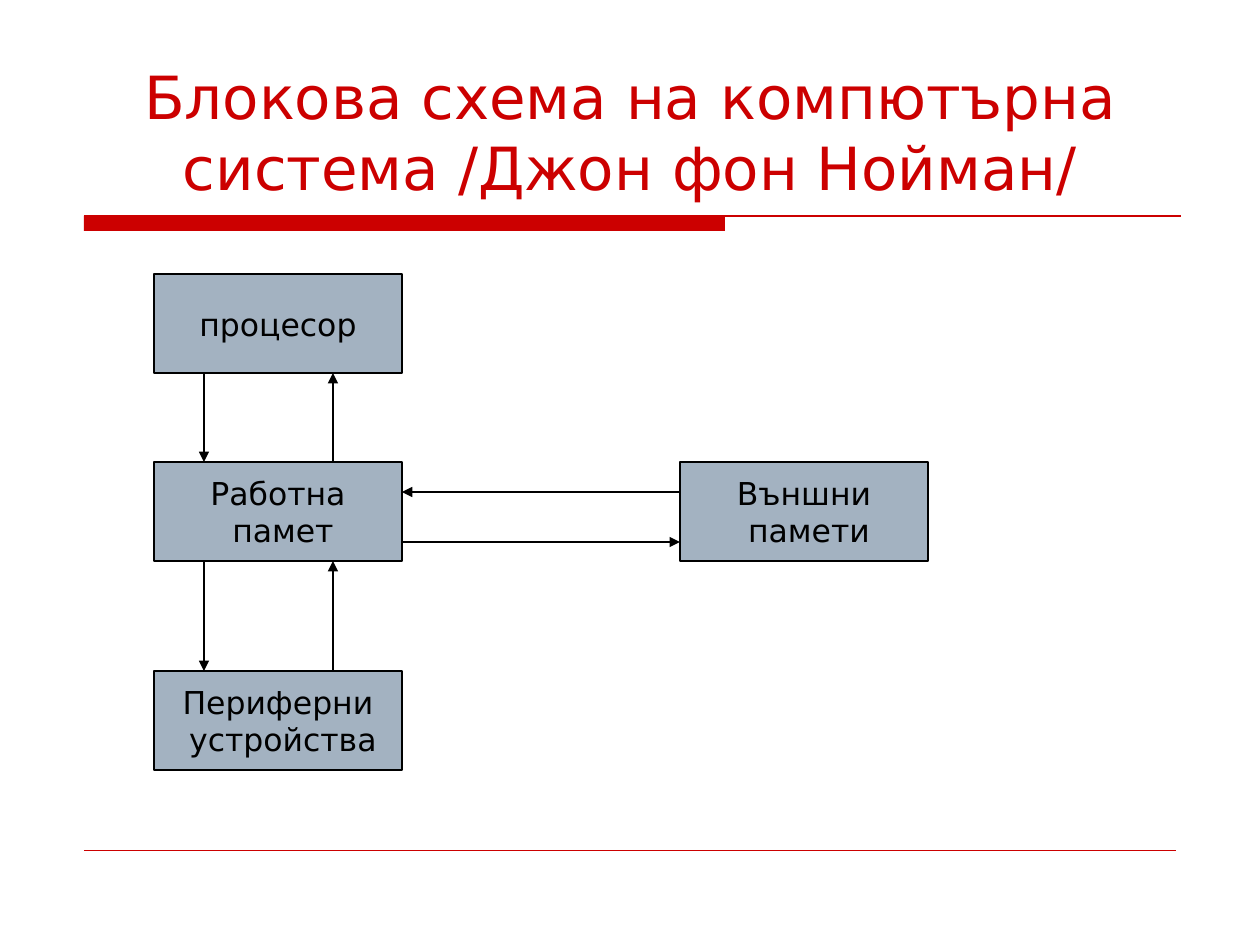
from lxml import etree
from pptx import Presentation
from pptx.dml.color import RGBColor
from pptx.enum.shapes import MSO_CONNECTOR, MSO_SHAPE
from pptx.enum.text import MSO_ANCHOR, MSO_AUTO_SIZE, PP_ALIGN
from pptx.oxml.ns import qn
from pptx.util import Emu, Pt

STRAIGHT = MSO_CONNECTOR.STRAIGHT
RECTANGLE = MSO_SHAPE.RECTANGLE
MIDDLE, BOTTOM = MSO_ANCHOR.MIDDLE, MSO_ANCHOR.BOTTOM
NO_AUTOFIT = MSO_AUTO_SIZE.NONE
CENTER = PP_ALIGN.CENTER

EMU_PER_PX = 914400 / 126
FONT = "DejaVu Sans"
RED, BLACK, BLOCK_FILL = "CC0000", "000000", "A3B2C1"
BLOCK_W, BLOCK_H = 248, 99


def px(length):
    return Emu(round(length * EMU_PER_PX))


def color(hex_string):
    return RGBColor.from_string(hex_string)


def format_paragraphs(frame, size, hex_string):
    for paragraph in frame.paragraphs:
        paragraph.alignment = CENTER
        paragraph.font.name = FONT
        paragraph.font.size = Pt(size)
        paragraph.font.color.rgb = color(hex_string)


def add_line(slide, start, end, hex_string, width, arrow=False):
    line = slide.shapes.add_connector(STRAIGHT, *map(px, start + end))
    line.line.color.rgb = color(hex_string)
    line.line.width = Pt(width)
    properties = line._element.spPr
    if arrow:
        outline = properties.find(qn("a:ln"))
        etree.SubElement(outline, qn("a:tailEnd"), type="triangle")
    etree.SubElement(properties, qn("a:effectLst"))


def add_rules(slide, left, top, width, height):
    # Thick bar over the first part of the thin header rule
    bar = slide.shapes.add_shape(RECTANGLE, px(left), px(top), px(641), px(15))
    bar.shadow.inherit = False
    bar.fill.solid()
    bar.fill.fore_color.rgb = color(RED)
    bar.line.fill.background()
    add_line(slide, (left, top), (left + width, top), RED, 0.75)

    # Footer rule
    bottom = top + height
    add_line(slide, (left, bottom), (left + width - 5, bottom), RED, 0.25)


def add_title(slide, left, top, width, height):
    title = slide.shapes.title
    title.left, title.top = px(left), px(top)
    title.width, title.height = px(width), px(height)
    frame = title.text_frame
    frame.text = "Блокова схема на компютърна система /Джон фон Нойман/"
    frame.auto_size = NO_AUTOFIT
    frame.vertical_anchor = BOTTOM
    format_paragraphs(frame, 34, RED)


def add_block(slide, left, top, label):
    block = slide.shapes.add_shape(
        RECTANGLE, px(left), px(top), px(BLOCK_W), px(BLOCK_H))
    block.shadow.inherit = False
    block.fill.solid()
    block.fill.fore_color.rgb = color(BLOCK_FILL)
    block.line.color.rgb = color(BLACK)
    block.line.width = Pt(0.75)
    frame = block.text_frame
    frame.text = label
    frame.word_wrap = False
    frame.vertical_anchor = MIDDLE
    format_paragraphs(frame, 18, BLACK)


def add_diagram(slide, left, top):
    processor_top, memory_top, devices_top = top, top + 188, top + 397
    storage_left = left + 526

    # Blocks
    add_block(slide, left, processor_top, "процесор")
    add_block(slide, storage_left, memory_top, "Външни\n памети")
    add_block(slide, left, memory_top, "Работна\n памет")
    add_block(slide, left, devices_top, "Периферни\n устройства")

    # Paired arrows down and up between the stacked blocks
    down_x, up_x = left + 50, left + 179
    for upper_top, lower_top in ((processor_top, memory_top),
                                 (memory_top, devices_top)):
        upper_bottom = upper_top + BLOCK_H
        add_line(slide, (down_x, upper_bottom), (down_x, lower_top),
                 BLACK, 0.75, arrow=True)
        add_line(slide, (up_x, lower_top), (up_x, upper_bottom),
                 BLACK, 0.75, arrow=True)

    # Paired arrows between working memory and external storage
    memory_right = left + BLOCK_W
    out_y, in_y = memory_top + 80, memory_top + 30
    add_line(slide, (memory_right, out_y), (storage_left, out_y),
             BLACK, 0.75, arrow=True)
    add_line(slide, (storage_left, in_y), (memory_right, in_y),
             BLACK, 0.75, arrow=True)


def main():
    presentation = Presentation()
    presentation.slide_width, presentation.slide_height = px(1260), px(945)
    title_only = presentation.slide_layouts[5]
    slide = presentation.slides.add_slide(title_only)
    add_rules(slide, 84, 216, 1097, 634)
    add_title(slide, 79, 42, 1102, 167)
    add_diagram(slide, 154, 274)
    presentation.save("out.pptx")


if __name__ == "__main__":
    main()
